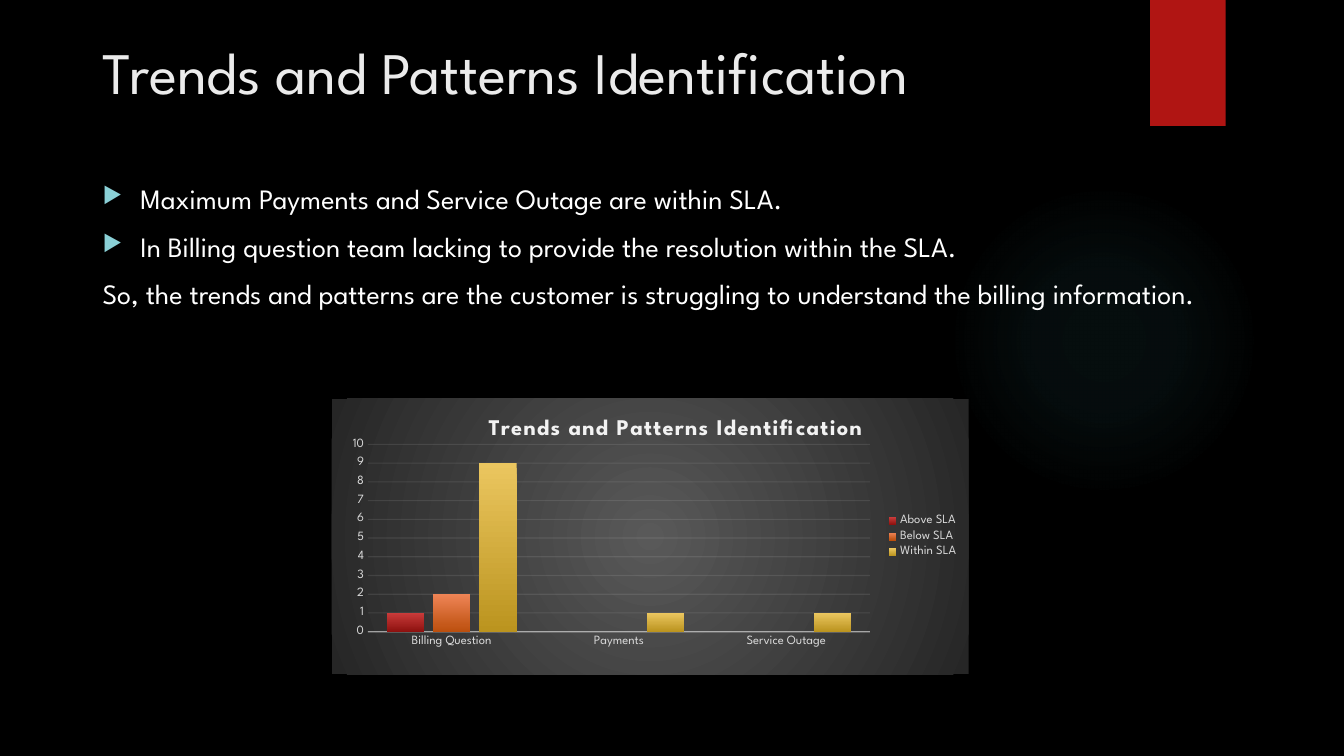
from dataclasses import dataclass

from lxml.etree import SubElement
from pptx import Presentation
from pptx.chart.data import CategoryChartData
from pptx.dml.color import RGBColor
from pptx.enum.chart import XL_CHART_TYPE, XL_LEGEND_POSITION, XL_TICK_MARK
from pptx.enum.shapes import MSO_SHAPE
from pptx.enum.text import MSO_ANCHOR
from pptx.oxml import parse_xml
from pptx.oxml.ns import nsdecls, qn
from pptx.util import Pt


@dataclass(frozen=True)
class Theme:
    font: str = "League Spartan"
    background: str = "000000"
    glow: str = "50B9C1"
    ribbon: str = "B01513"
    title: str = "EBEBEB"
    body: str = "FFFFFF"
    bullet: str = "8AD0D6"
    chart_title: str = "F2F2F2"
    label: str = "D9D9D9"
    rule: str = "F2F2F2"
    panel: tuple = ("595959", "262626")
    title_size: int = 42
    body_size: int = 20
    chart_title_size: int = 16
    label_size: int = 9


def set_font(font, name, size, color, bold=False):
    font.name = name
    font.size = Pt(size)
    font.bold = bold
    font.color.rgb = RGBColor.from_string(color)


def write(paragraph, text, spacing=None, before=0, **style):
    run = paragraph.add_run()
    run.text = text
    paragraph.space_before = Pt(before)
    set_font(run.font, **style)
    if spacing:
        run.font._element.set("spc", str(spacing * 100))


def radial_fill(stops):
    marks = "".join(
        f'<a:gs pos="{position * 1000}"><a:srgbClr val="{color}">'
        f'<a:alpha val="{opacity * 1000}"/></a:srgbClr></a:gs>'
        for position, color, opacity in stops
    )
    return (
        f'<a:gradFill {nsdecls("a")} rotWithShape="1"><a:gsLst>{marks}</a:gsLst>'
        '<a:path path="circle"><a:fillToRect l="50000" t="50000" r="50000" b="50000"/>'
        "</a:path></a:gradFill>"
    )


def manual_layout(**settings):
    entries = "".join(f'<c:{key} val="{value}"/>' for key, value in settings.items())
    return parse_xml(
        f'<c:layout {nsdecls("c")}><c:manualLayout>{entries}</c:manualLayout></c:layout>'
    )


class SlideBuilder:
    def __init__(self, slide, theme):
        self.slide = slide
        self.theme = theme
        background = slide.background.fill
        background.solid()
        background.fore_color.rgb = RGBColor.from_string(theme.background)

    def block(self, preset, box, color):
        block = self.slide.shapes.add_shape(preset, *map(Pt, box))
        block.shadow.inherit = False
        block.line.fill.background()
        block.fill.solid()
        block.fill.fore_color.rgb = RGBColor.from_string(color)
        return block

    def glow(self, box, stops):
        glow = self.block(MSO_SHAPE.OVAL, box, self.theme.glow)
        solid = glow.element.spPr.find(qn("a:solidFill"))
        solid.getparent().replace(solid, parse_xml(radial_fill(stops)))

    def text(self, box, lines, size, color, before=0):
        frame = self.slide.shapes.add_textbox(*map(Pt, box)).text_frame
        frame.word_wrap = True
        frame.vertical_anchor = MSO_ANCHOR.TOP
        for index, (line, bulleted) in enumerate(lines):
            paragraph = frame.add_paragraph() if index else frame.paragraphs[0]
            write(paragraph, line, before=before, name=self.theme.font, size=size, color=color)
            if bulleted:
                self.bullet(paragraph)

    def bullet(self, paragraph):
        properties = paragraph._p.get_or_add_pPr()
        properties.set("marL", str(Pt(27)))
        properties.set("indent", str(-Pt(27)))
        tint = SubElement(properties, qn("a:buClr"))
        SubElement(tint, qn("a:srgbClr"), val=self.theme.bullet)
        SubElement(properties, qn("a:buSzPct"), val="80000")
        SubElement(properties, qn("a:buChar"), char="▶")

    def column_chart(self, box, title, categories, series):
        theme = self.theme
        data = CategoryChartData()
        data.categories = categories
        for name, values, _ in series:
            data.add_series(name, values)
        chart = self.slide.shapes.add_chart(
            XL_CHART_TYPE.COLUMN_CLUSTERED, *map(Pt, box), data
        ).chart
        label = dict(name=theme.font, size=theme.label_size, color=theme.label)
        set_font(chart.font, **label)

        chart.has_title = True
        write(
            chart.chart_title.text_frame.paragraphs[0], title, spacing=1, name=theme.font,
            size=theme.chart_title_size, color=theme.chart_title, bold=True,
        )
        chart.has_legend = True
        chart.legend.position = XL_LEGEND_POSITION.RIGHT
        chart.legend.include_in_layout = False
        set_font(chart.legend.font, **label)

        plot = chart.plots[0]
        plot.gap_width = 100
        plot.overlap = -24
        plot.vary_by_categories = False
        for column, (_, _, shades) in zip(plot.series, series):
            column.format.line.fill.background()
            fill = column.format.fill
            fill.gradient()
            fill.gradient_angle = 270
            for stop, shade in zip(fill.gradient_stops, shades):
                stop.color.rgb = RGBColor.from_string(shade)

        for axis in (chart.category_axis, chart.value_axis):
            axis.major_tick_mark = axis.minor_tick_mark = XL_TICK_MARK.NONE
            set_font(axis.tick_labels.font, **label)
        scale = chart.value_axis
        scale.minimum_scale, scale.maximum_scale, scale.major_unit = 0, 10, 1
        scale.format.line.fill.background()

        rules = (
            (chart.category_axis, 1, 54, "c:catAx"),
            (scale.major_gridlines, 0.75, 10, "c:valAx/c:majorGridlines"),
        )
        area = chart.element.find(qn("c:chart")).find(qn("c:plotArea"))
        for owner, width, opacity, place in rules:
            owner.format.line.width = Pt(width)
            owner.format.line.color.rgb = RGBColor.from_string(theme.rule)
            ink = area.xpath(f"{place}/c:spPr/a:ln//a:srgbClr")[0]
            SubElement(ink, qn("a:alpha"), val=str(opacity * 1000))

        self.arrange(chart, area)

    def arrange(self, chart, area):
        heading = chart.chart_title._element
        for parent in (area, heading):
            for layout in parent.findall(qn("c:layout")):
                parent.remove(layout)
        area.insert(0, manual_layout(
            layoutTarget="inner", xMode="edge", yMode="edge", x=0.057, y=0.165, w=0.788, h=0.681
        ))
        heading.find(qn("c:tx")).addnext(manual_layout(xMode="edge", yMode="edge", x=0.24, y=0.05))
        inner, outer = self.theme.panel
        panel = radial_fill([(0, inner, 100), (100, outer, 100)])
        chart.element.find(qn("c:txPr")).addprevious(parse_xml(
            f'<c:spPr {nsdecls("c", "a")}>{panel}<a:ln><a:noFill/></a:ln></c:spPr>'
        ))


def main():
    deck = Presentation()
    deck.slide_width, deck.slide_height = Pt(960), Pt(540)
    theme = Theme()
    page = SlideBuilder(deck.slides.add_slide(deck.slide_layouts[6]), theme)
    heading = "Trends and Patterns Identification"

    page.glow((677.5, 131.8, 221.8, 221.8), [(0, theme.glow, 7), (36, theme.glow, 6), (69, theme.glow, 0)])
    page.block(MSO_SHAPE.RECTANGLE, (821.5, 0, 54, 90), theme.ribbon)
    page.text((66.2, 21.6, 828, 104.4), [(heading, False)], theme.title_size, theme.title)
    findings = [
        ("Maximum Payments and Service Outage are within SLA.", True),
        ("In Billing question team lacking to provide the resolution within the SLA.", True),
        ("So, the trends and patterns are the customer is struggling to understand the billing information.", False),
    ]
    page.text((66.2, 126, 828, 414), findings, theme.body_size, theme.body, before=10)
    page.column_chart(
        (236.9, 285, 455, 196.6),
        heading,
        ["Billing Question", "Payments", "Service Outage"],
        [
            ("Above SLA", (1, None, None), ("C93B3A", "8D110F")),
            ("Below SLA", (2, None, None), ("EE8455", "BC4F0E")),
            ("Within SLA", (9, 1, 1), ("EBC65F", "BB941F")),
        ],
    )
    deck.save("out.pptx")


if __name__ == "__main__":
    main()
